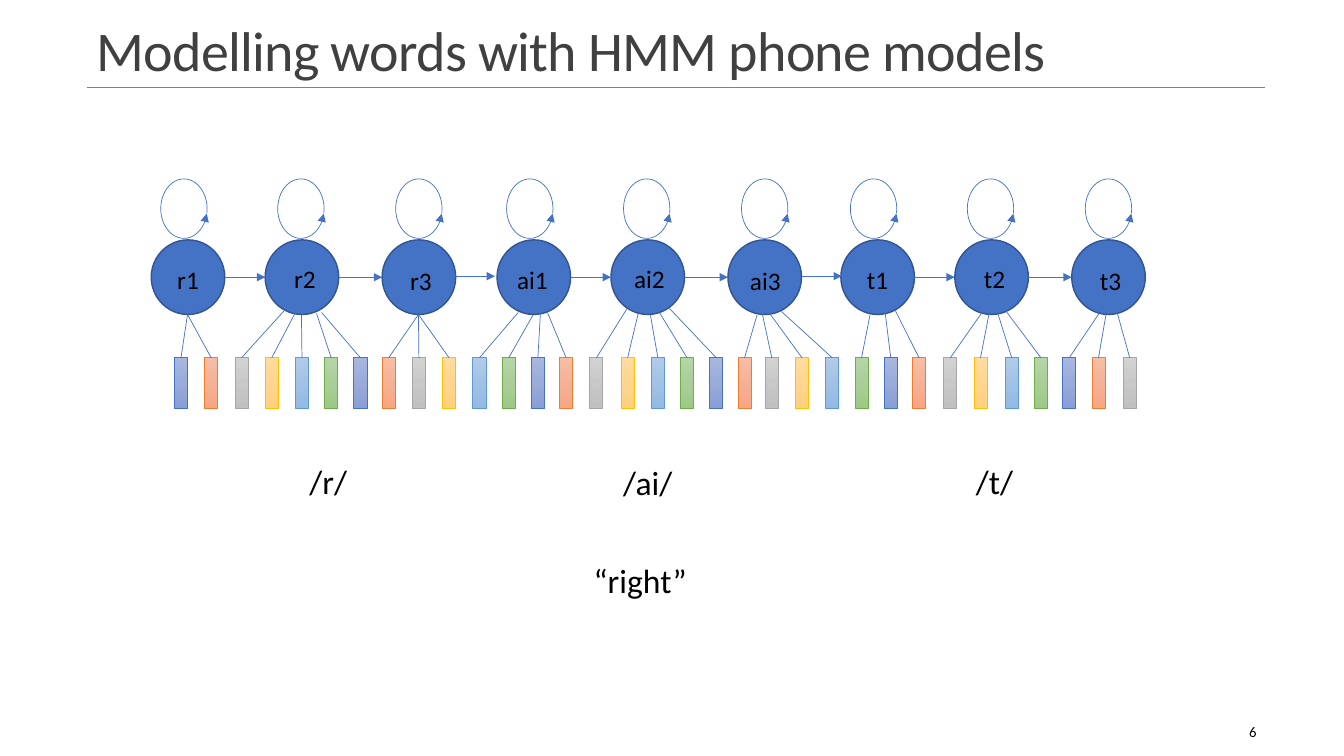
"""Build a slide that shows a word as a chain of HMM phone models."""
import copy

import pptx
import pptx.dml.color
import pptx.enum.shapes
import pptx.enum.text
import pptx.oxml
import pptx.oxml.ns
import pptx.util

Inches = pptx.util.Inches
RGBColor = pptx.dml.color.RGBColor
Shape = pptx.enum.shapes.MSO_SHAPE
Align = pptx.enum.text.PP_ALIGN
Anchor = pptx.enum.text.MSO_ANCHOR

FONT = "Calibri"
BLACK = RGBColor(0x00, 0x00, 0x00)
TITLE_GREY = RGBColor(0x40, 0x40, 0x40)
RULE_GREY = RGBColor(0x80, 0x80, 0x80)
BLUE = RGBColor(0x44, 0x72, 0xC4)
DARK_BLUE = RGBColor(0x32, 0x54, 0x91)

FRAME_COLOURS = [
    [RGBColor.from_string(code) for code in codes.split()]
    for codes in (
        "4472C4 A8B7DF 9AABD9 889ED7",
        "ED7D31 F7BDA5 F5B196 F8A582",
        "A5A5A5 D2D2D2 C8C8C8 C0C0C0",
        "FFC000 FFDB9E FFD590 FFD07C",
        "5B9BD5 B1CBE9 A3C1E5 93B9E4",
        "70AD47 B5D5A7 AACE9A 9CC987",
    )
]
FRAME_LEFTS = [
    1.73, 2.03, 2.33, 2.63, 2.93, 3.22, 3.51, 3.79, 4.09, 4.39, 4.69,
    4.98, 5.27, 5.55, 5.85, 6.16, 6.46, 6.75, 7.04, 7.32, 7.59, 7.89,
    8.19, 8.48, 8.77, 9.05, 9.36, 9.66, 9.97, 10.26, 10.54, 10.83, 11.14,
]
FRAME_TOP, FRAME_WIDTH, FRAME_HEIGHT = 3.55, 0.13, 0.5
EMISSION_STARTS = [
    (1.86, 3.12), (1.86, 3.12),
    (2.83, 3.07), (2.93, 3.1), (2.99, 3.12), (3.14, 3.11), (3.19, 3.1),
    (4.15, 3.12), (4.15, 3.12), (4.15, 3.12),
    (5.14, 3.1), (5.29, 3.12), (5.36, 3.11), (5.43, 3.1),
    (6.22, 3.06), (6.33, 3.11), (6.45, 3.12), (6.54, 3.1), (6.64, 3.06),
    (7.51, 3.12), (7.56, 3.11), (7.62, 3.09), (7.75, 3.09),
    (8.63, 3.12), (8.78, 3.11), (8.88, 3.08),
    (9.74, 3.1), (9.81, 3.11), (9.9, 3.12), (9.98, 3.09),
    (10.9, 3.11), (10.97, 3.12), (11.08, 3.1),
]

PHONES = [
    ("r", 1.5, 0.16, (0.46, 0.73, 0.49), (2.77, 4.52)),
    ("ai", 4.93, 0.1, (0.54, 0.73, 0.57), (5.94, 4.53)),
    ("t", 8.34, 0.16, (0.46, 0.73, 0.49), (9.38, 4.52)),
]
STATE_OFFSETS = (0, 1.13, 2.29)
LOOP_OFFSETS = (0.03, 1.19, 2.36)
LABEL_OFFSETS = (0, 1.16, 2.31)
LABEL_TOPS = (2.57, 2.56, 2.58)
STATE_TOP, STATE_WIDTH, STATE_HEIGHT = 2.38, 0.73, 0.74
ARROW_Y = 2.75


def add_arrowhead(shape, end):
    """Put a triangle on one end of an outlined shape."""
    head = pptx.oxml.parse_xml(
        f'<a:{end} {pptx.oxml.ns.nsdecls("a")} type="triangle"/>'
    )
    shape.element.spPr.find(pptx.oxml.ns.qn("a:ln")).append(head)


def add_line(shapes, start, finish, colour=BLUE, arrow=False):
    """Draw a thin straight line, with an arrowhead if asked."""
    connector = shapes.add_connector(
        pptx.enum.shapes.MSO_CONNECTOR.STRAIGHT,
        *(Inches(value) for value in (*start, *finish)),
    )
    connector.line.color.rgb = colour
    connector.line.width = pptx.util.Pt(0.5)
    if arrow:
        add_arrowhead(connector, "tailEnd")
    effects = pptx.oxml.parse_xml(f'<a:effectLst {pptx.oxml.ns.nsdecls("a")}/>')
    connector.element.spPr.append(effects)


def add_outlined(shapes, kind, box, colour, width):
    """Add a preset shape with its outline and no shadow."""
    shape = shapes.add_shape(kind, *(Inches(value) for value in box))
    shape.shadow.inherit = False
    shape.line.color.rgb = colour
    shape.line.width = pptx.util.Pt(width)
    return shape


def add_text(shapes, text, box, size, colour=BLACK, align=Align.LEFT,
             anchor=Anchor.TOP, wrap=True):
    """Add one line of text and return its paragraph."""
    text_frame = shapes.add_textbox(*(Inches(value) for value in box)).text_frame
    text_frame.word_wrap = wrap
    text_frame.vertical_anchor = anchor
    text_frame.text = text
    paragraph = text_frame.paragraphs[0]
    paragraph.alignment = align
    font = paragraph.runs[0].font
    font.name = FONT
    font.size = pptx.util.Pt(size)
    font.color.rgb = colour
    return paragraph


def add_title(shapes):
    """Add the title and the rule below it."""
    add_line(shapes, (0.86, 0.87), (12.55, 0.87), RULE_GREY)
    paragraph = add_text(shapes, "Modelling words with HMM phone models",
                         (0.86, 0.13, 11.7, 0.74), 40, TITLE_GREY,
                         anchor=Anchor.BOTTOM)
    paragraph.line_spacing = 0.85
    paragraph.runs[0].font._element.set("spc", "-50")


def add_loop(shapes, left):
    """Add the self-transition arc above a state."""
    loop = add_outlined(shapes, Shape.ARC, (left, 1.84, 0.59, 0.46), BLUE, 0.5)
    loop.fill.background()
    loop.rotation = 270
    loop.adjustments[0] = 61.316
    loop.adjustments[1] = 60.484
    add_arrowhead(loop, "headEnd")


def add_phone(shapes, phone, left, label_inset, label_widths):
    """Add the three linked states of one phone as a group."""
    members = shapes.add_group_shape().shapes
    state_lefts = [left + offset for offset in STATE_OFFSETS]
    for index, state_left in enumerate(state_lefts):
        state = add_outlined(
            members, Shape.OVAL,
            (state_left, STATE_TOP, STATE_WIDTH, STATE_HEIGHT), DARK_BLUE, 1)
        state.fill.solid()
        state.fill.fore_color.rgb = BLUE
        add_loop(members, left + LOOP_OFFSETS[index])
        label_left = left + label_inset + LABEL_OFFSETS[index]
        add_text(members, f"{phone}{index + 1}",
                 (label_left, LABEL_TOPS[index], label_widths[index], 0.4), 18)
    for here, following in zip(state_lefts, state_lefts[1:]):
        add_line(members, (here + STATE_WIDTH, ARROW_Y), (following, ARROW_Y),
                 arrow=True)


def add_frame(shapes, left, colours):
    """Add one acoustic frame with a three-stop gradient."""
    frame = add_outlined(shapes, Shape.RECTANGLE,
                         (left, FRAME_TOP, FRAME_WIDTH, FRAME_HEIGHT),
                         colours[0], 0.5)
    frame.fill.gradient()
    frame.fill.gradient_angle = 270
    stop_list = frame.element.spPr.find(".//" + pptx.oxml.ns.qn("a:gsLst"))
    stop_list.append(copy.deepcopy(stop_list[-1]))
    stops = frame.fill.gradient_stops
    for stop, position, colour in zip(stops, (0, 0.5, 1), colours[1:]):
        stop.position = position
        stop.color.rgb = colour


def main():
    """Build and save the slide."""
    presentation = pptx.Presentation()
    presentation.slide_width = Inches(13.33)
    presentation.slide_height = Inches(7.5)
    slide = presentation.slides.add_slide(presentation.slide_layouts[6])
    shapes = slide.shapes
    add_title(shapes)
    for phone, left, label_inset, label_widths, caption in PHONES:
        add_phone(shapes, phone, left, label_inset, label_widths)
        add_text(shapes, f"/{phone}/", (*caption, 0.97, 0.5), 24,
                 align=Align.CENTER)
    for left in (4.51, 7.95):
        add_line(shapes, (left, 2.74), (left + 0.4, 2.74), arrow=True)
    for index, (left, start) in enumerate(zip(FRAME_LEFTS, EMISSION_STARTS)):
        add_frame(shapes, left, FRAME_COLOURS[index % len(FRAME_COLOURS)])
        add_line(shapes, start, (left + FRAME_WIDTH / 2, FRAME_TOP))
    add_text(shapes, "“right”", (5.79, 5.51, 1.13, 0.5), 24, wrap=False)
    add_text(shapes, "6", (11.13, 7.06, 1.43, 0.4), 10.5, align=Align.RIGHT,
             anchor=Anchor.MIDDLE)
    presentation.save("out.pptx")


if __name__ == "__main__":
    main()
